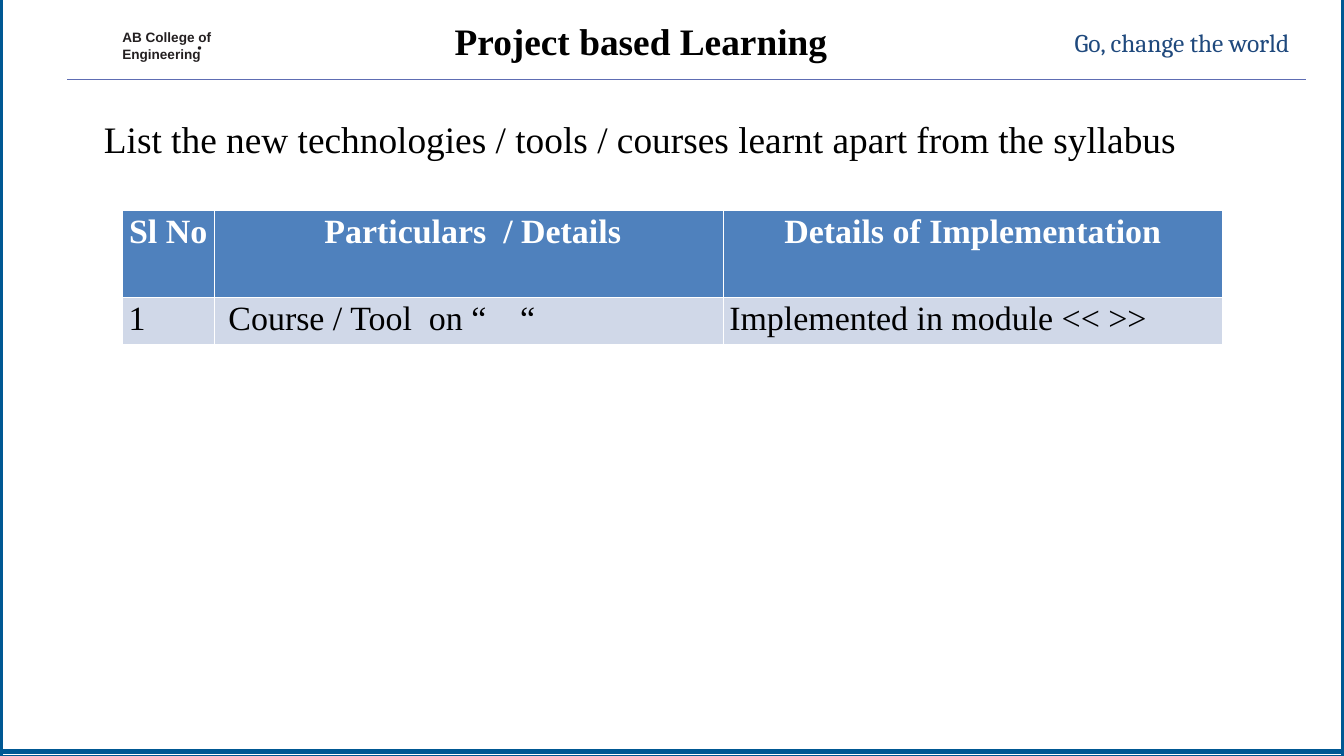
"""Build the Project based Learning slide."""
from lxml import etree
from pptx import Presentation
from pptx import util as u
from pptx.dml.color import RGBColor
from pptx.enum import shapes, text
from pptx.oxml import ns

Pt = u.Pt
SIZE = (1583.28, 890.64)
TITLE = ["Project based Learning"]
MOTTO = ["Go, change the world"]
SCHOOL = ["AB College of", "Engineering"]
LEAD = ["List the new technologies / tools / courses learnt apart from the syllabus"]
ROWS = [
    ("Sl No", "Particulars  / Details", "Details of Implementation"),
    ("1", " Course / Tool  on “    “", "Implemented in module << >>"),
]
COLS = (107.8, 600, 588)
HIGH = (102.6, 55.4)
HEAD_PADS = (7.2, 17.2, 7.2)

THEME = {
    "white": "FFFFFF", "black": "000000", "ink": "231F20", "navy": "1F497D",
    "frame": "005893", "rule": "5E6DB3", "head": "4F81BD", "row": "D0D8E8",
    "serif": "Times New Roman", "motto": "Cambria", "sans": "Arial",
    "big": 44, "cell": 40, "mid": 30, "small": 16,
}
LEFT, MID = text.PP_ALIGN.LEFT, text.PP_ALIGN.CENTER
TOP, CORE = text.MSO_ANCHOR.TOP, text.MSO_ANCHOR.MIDDLE


def tone(key):
    return RGBColor.from_string(THEME[key])


def apply(item, opts):
    for key, val in opts.items():
        setattr(item, key, val)


def style(para, face, size, hue, bold=False, align=LEFT, **gaps):
    apply(para, {"alignment": align, "space_before": Pt(0), **gaps})
    apply(para.font, {"name": THEME[face], "size": Pt(THEME[size]), "bold": bold})
    para.font.color.rgb = tone(hue)


def write(shape, box, lines, pads=(0, 0, 0, 0), anchor=TOP, **look):
    apply(shape, dict(zip(("left", "top", "width", "height"), map(Pt, box))))
    frame = shape.text_frame
    apply(frame, {"word_wrap": True, "auto_size": text.MSO_AUTO_SIZE.NONE,
                  "vertical_anchor": anchor})
    sides = ("margin_left", "margin_top", "margin_right", "margin_bottom")
    apply(frame, dict(zip(sides, map(Pt, pads))))
    frame.text = "\n".join(lines)
    for para in frame.paragraphs:
        style(para, **look)
    return frame


def block(slide, kind, box, fill, line=None):
    shape = slide.shapes.add_shape(kind, *map(Pt, box))
    shape.shadow.inherit = False
    shape.fill.solid()
    shape.fill.fore_color.rgb = tone(fill)
    if line:
        shape.line.color.rgb = tone(line)
        shape.line.width = Pt(6)
    else:
        shape.line.fill.background()


def edge(cell, wide):
    props = cell._tc.get_or_add_tcPr()
    for spot, side in enumerate("LRTB"):
        line = etree.Element(ns.qn("a:ln" + side), w=str(int(Pt(wide))))
        fill = etree.SubElement(line, ns.qn("a:solidFill"))
        etree.SubElement(fill, ns.qn("a:srgbClr"), val=THEME["white"])
        props.insert(spot, line)


def grid(slide):
    table = slide.shapes.add_table(
        len(ROWS), len(COLS), *map(Pt, (144.2, 247.8, sum(COLS), sum(HIGH)))).table
    for col, wide in zip(table.columns, COLS):
        col.width = Pt(wide)
    for r, (row, tall) in enumerate(zip(ROWS, HIGH)):
        head = r == 0
        table.rows[r].height = Pt(tall)
        for c, words in enumerate(row):
            cell = table.cell(r, c)
            cell.text = words
            cell.margin_left = Pt(HEAD_PADS[c] if head else 7.2)
            cell.fill.solid()
            cell.fill.fore_color.rgb = tone("head" if head else "row")
            style(cell.text_frame.paragraphs[0], "serif", "cell",
                  "white" if head else "black", head, MID if head else LEFT)
            edge(cell, 0.45)


def main():
    deck = Presentation()
    deck.slide_width, deck.slide_height = map(Pt, SIZE)
    slide = deck.slides.add_slide(deck.slide_layouts[1])
    title, body = slide.placeholders
    for top in (1.44, -5.04):
        block(slide, shapes.MSO_SHAPE.RECTANGLE, (0, top, *SIZE), "white", "frame")
    block(slide, shapes.MSO_SHAPE.OVAL, (233, 54.5, 4, 4), "ink")
    for holder in (title, body):
        holder._element.getparent().append(holder._element)

    rule = slide.shapes.add_connector(
        shapes.MSO_CONNECTOR.STRAIGHT, *map(Pt, (79.2, 93.6, 1538.3, 93.6)))
    rule.line.color.rgb = tone("rule")
    rule.line.width = Pt(1.25)
    etree.SubElement(rule._element.spPr, ns.qn("a:effectLst"))

    write(title, (398.16, 23.04, 714.24, 50.4), TITLE, anchor=CORE,
          face="serif", size="big", hue="black", bold=True, align=MID)
    lead = write(body, (79.2, 133.2, 1458.72, 588.24), LEAD,
                 (7.2, 3.6, 7.2, 3.6), face="serif", size="big", hue="black")
    props = lead.paragraphs[0]._p.get_or_add_pPr()
    for key, val in {"marL": str(int(Pt(36))), "indent": "0"}.items():
        props.set(key, val)
    etree.SubElement(props, ns.qn("a:buNone"))

    school, motto = (slide.shapes.add_textbox(0, 0, 0, 0) for _ in range(2))
    write(school, (144.2, 34.56, 108, 38.16), SCHOOL, (0, 1.44, 0, 0),
          face="sans", size="small", hue="ink", bold=True,
          line_spacing=Pt(17.9), space_before=Pt(1.4))
    write(motto, (1247.76, 32.4, 289.44, 72), MOTTO,
          face="motto", size="mid", hue="navy", align=MID)
    grid(slide)
    deck.save("out.pptx")


if __name__ == "__main__":
    main()
